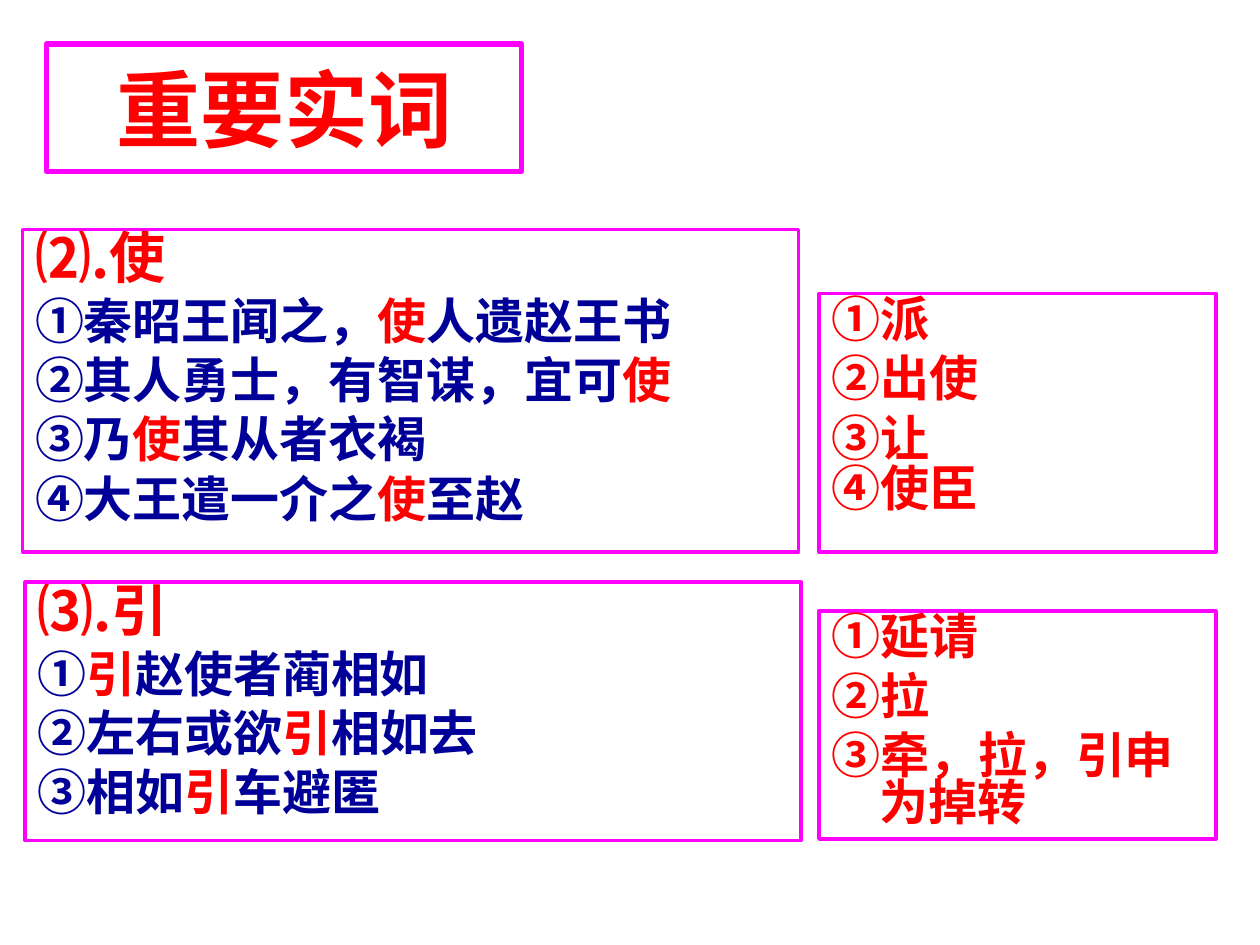
from pptx import Presentation
from pptx.dml.color import RGBColor
from pptx.enum.shapes import MSO_SHAPE as Shape
from pptx.enum.text import MSO_ANCHOR as Anchor, PP_ALIGN as Align
from pptx.oxml.ns import qn
from pptx.util import Inches, Pt

# Grid: 100 columns by 75 rows on a 10 x 7.5 inch page
COLUMNS, ROWS = 100, 75
RED, NAVY, MAGENTA = "FF0000", "000099", "FF00FF"
CJK = "Noto Sans CJK SC"
HANGING = Inches(0.38)

deck = Presentation()
deck.slide_width, deck.slide_height = Inches(10), Inches(7.5)


def color(hex_string):
    return RGBColor.from_string(hex_string)


def add_frame(page, box, line_width, anchor=Anchor.TOP):
    """Draw a magenta outline on the grid cells of box and return its text frame."""
    left, top, width, height = box
    column, row = deck.slide_width / COLUMNS, deck.slide_height / ROWS
    shape = page.shapes.add_shape(
        Shape.RECTANGLE, int(left * column), int(top * row),
        int(width * column), int(height * row))
    shape.shadow.inherit = False
    shape.fill.background()
    shape.line.color.rgb = color(MAGENTA)
    shape.line.width = Pt(line_width)
    frame = shape.text_frame
    frame.word_wrap = True
    frame.vertical_anchor = anchor
    return frame


def add_span(para, text, hex_string):
    span = para.add_run()
    span.text = text
    span.font.color.rgb = color(hex_string)
    # East Asian typeface for the Chinese characters
    properties = span._r.get_or_add_rPr()
    properties.append(properties.makeelement(qn("a:ea"), {"typeface": CJK}))


def set_font(para, size, name=CJK):
    para.font.size, para.font.name, para.font.bold = Pt(size), name, True


def add_line(frame, index, size=28, space=7):
    """Return the next hanging-indent paragraph of a frame."""
    para = frame.add_paragraph() if index else frame.paragraphs[0]
    properties = para._p.get_or_add_pPr()
    properties.set("marL", str(HANGING))
    properties.set("indent", str(-HANGING))
    para.alignment = Align.LEFT
    para.line_spacing = 0.8
    if index:
        para.space_before = Pt(space)
    set_font(para, size)
    return para


def add_title(page, box, text):
    frame = add_frame(page, box, 3, Anchor.MIDDLE)
    para = frame.paragraphs[0]
    para.alignment = Align.CENTER
    set_font(para, 48, "Times New Roman")
    add_span(para, text, RED)


def add_examples(page, box, number, word, sentences):
    """List the sentences under their heading, with the studied word in red."""
    frame = add_frame(page, box, 2)
    add_span(add_line(frame, 0, size=32), f"{number}.{word}", RED)
    for index, sentence in enumerate(sentences, 1):
        para = add_line(frame, index)
        before, after = sentence.split(word)
        for text, hex_string in ((before, NAVY), (word, RED), (after, NAVY)):
            if text:
                add_span(para, text, hex_string)


def add_meanings(page, box, meanings, last_space=7):
    frame = add_frame(page, box, 2)
    for index, meaning in enumerate(meanings):
        is_last = index == len(meanings) - 1
        para = add_line(frame, index, space=last_space if is_last else 7)
        add_span(para, meaning, RED)


def main():
    page = deck.slides.add_slide(deck.slide_layouts[6])
    add_title(page, (3.7, 3.5, 37.7, 10.1), "重要实词")

    # Second word: examples and meanings
    add_examples(page, (1.8, 18.2, 61.6, 25.6), "⑵", "使", [
        "①秦昭王闻之，使人遗赵王书",
        "②其人勇士，有智谋，宜可使",
        "③乃使其从者衣褐",
        "④大王遣一介之使至赵",
    ])
    add_meanings(page, (65, 23.3, 31.5, 20.5),
                 ["①派", "②出使", "③让", "④使臣"], last_space=2)

    # Third word: examples and meanings
    add_examples(page, (2, 46.2, 61.6, 20.5), "⑶", "引", [
        "①引赵使者蔺相如",
        "②左右或欲引相如去",
        "③相如引车避匿",
    ])
    add_meanings(page, (65, 48.5, 31.5, 18.1),
                 ["①延请", "②拉", "③牵，拉，引申为掉转"])

    deck.save("out.pptx")


if __name__ == "__main__":
    main()
